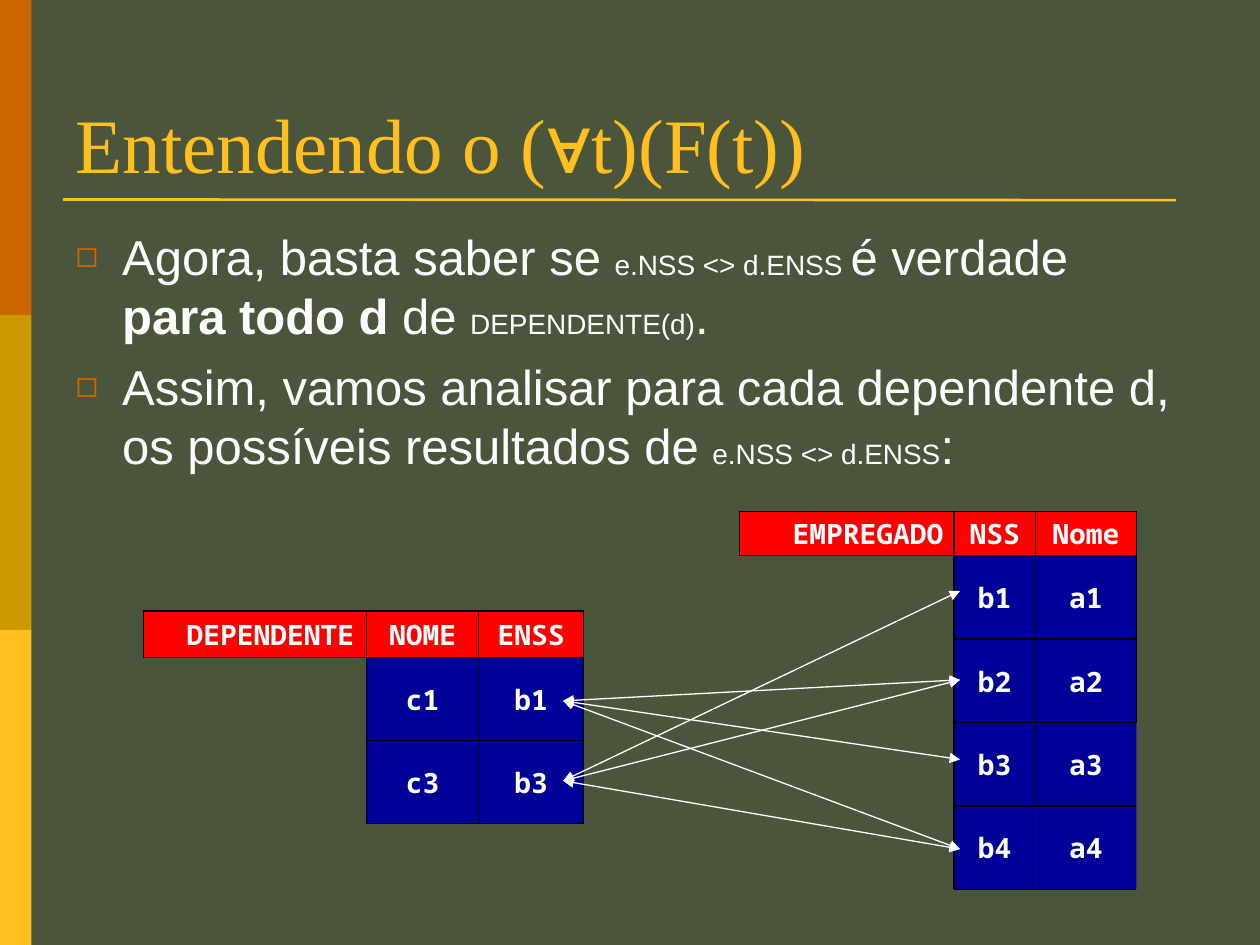
from itertools import accumulate

from lxml import etree
from pptx import Presentation
from pptx import util as u
from pptx.dml.color import RGBColor
from pptx.enum import shapes, text
from pptx.oxml import ns

Pt = u.Pt
OLIVE, WHITE, BLACK = "4A553B", "FFFFFF", "000000"
ORANGE, MUSTARD, YELLOW = "CC6600", "CC9900", "FFBF1F"
RED, NAVY = "FF0000", "000099"


def color(hex_value):
    return RGBColor.from_string(hex_value)


class SlideBuilder:
    title_font, body_font, cell_font = "Times New Roman", "Arial", "Noto Sans Mono"
    title_size, body_size, code_size = 44, 28, 16

    def __init__(self, slide):
        self.slide = slide
        slide.background.fill.solid()
        slide.background.fill.fore_color.rgb = color(OLIVE)

    def style(self, font, name, size, hex_value, bold=False):
        font.name, font.size, font.bold = name, Pt(size), bold
        font.color.rgb = color(hex_value)

    def place(self, shape, left, top, width, height):
        shape.left, shape.top = Pt(left), Pt(top)
        shape.width, shape.height = Pt(width), Pt(height)

    def title(self, wording, *box):
        title = self.slide.shapes.title
        self.place(title, *box)
        frame = title.text_frame
        frame.text = wording
        frame.vertical_anchor = text.MSO_ANCHOR.BOTTOM
        frame.auto_size = text.MSO_AUTO_SIZE.NONE
        line = frame.paragraphs[0]
        line.alignment = text.PP_ALIGN.LEFT
        self.style(line.font, self.title_font, self.title_size, YELLOW)

    def bullet(self, paragraph):
        props = paragraph._p.get_or_add_pPr()
        indent = Pt(26.64)
        props.set("marL", str(indent))
        props.set("indent", str(-indent))
        bullet_color = etree.SubElement(props, ns.qn("a:buClr"))
        etree.SubElement(bullet_color, ns.qn("a:srgbClr"), val=ORANGE)
        etree.SubElement(props, ns.qn("a:buSzPct"), val="75000")
        etree.SubElement(props, ns.qn("a:buChar"), char="◻")

    def bullets(self, items, *box):
        body = self.slide.placeholders[1]
        self.place(body, *box)
        frame = body.text_frame
        frame.auto_size = text.MSO_AUTO_SIZE.NONE
        for index, pieces in enumerate(items):
            paragraph = frame.add_paragraph() if index else frame.paragraphs[0]
            self.bullet(paragraph)
            paragraph.space_before = Pt(7 if index else 0)
            self.style(paragraph.font, self.body_font, self.body_size, WHITE)
            for wording, kind in pieces:
                run = paragraph.add_run()
                run.text = wording
                if kind == "code":
                    run.font.size = Pt(self.code_size)
                elif kind == "bold":
                    run.font.bold = True

    def rect(self, parent, fill, *box):
        shape = parent.add_shape(shapes.MSO_SHAPE.RECTANGLE, *map(Pt, box))
        shape.shadow.inherit = False
        shape.fill.solid()
        shape.fill.fore_color.rgb = color(fill)
        shape.line.fill.background()
        return shape

    def line(self, parent, hex_value, width, start, end, arrows=False):
        line = parent.add_connector(
            shapes.MSO_CONNECTOR.STRAIGHT, *map(Pt, (*start, *end)))
        line.line.color.rgb = color(hex_value)
        line.line.width = Pt(width)
        if arrows:
            outline = line.line._get_or_add_ln()
            for tag in ("a:headEnd", "a:tailEnd"):
                etree.SubElement(outline, ns.qn(tag), type="triangle")
        etree.SubElement(line._element.spPr, ns.qn("a:effectLst"))

    def cell(self, parent, wording, fill, align, inset, *box):
        cell = self.rect(parent, fill, *box)
        frame = cell.text_frame
        frame.word_wrap = True
        frame.vertical_anchor = text.MSO_ANCHOR.MIDDLE
        frame.margin_left = frame.margin_right = Pt(inset)
        frame.margin_top = frame.margin_bottom = Pt(inset / 2)
        frame.text = wording
        paragraph = frame.paragraphs[0]
        paragraph.alignment = align
        self.style(paragraph.font, self.cell_font, self.code_size, WHITE, True)

    def relation(self, name, header, rows, left, top, widths, heights, inset, depths):
        """Draw a relation; depths gives the rows each vertical rule runs down."""
        parent = self.slide.shapes.add_group_shape().shapes
        header_height, row_height = heights
        xs = list(accumulate(widths, initial=left))
        ys = [top] + [top + header_height + row_height * i
                      for i in range(len(rows) + 1)]
        # Cells
        self.cell(parent, name, RED, text.PP_ALIGN.RIGHT, inset,
                  left, top, widths[0], header_height)
        for r, row in enumerate([header, *rows]):
            for c, wording in enumerate(row, 1):
                self.cell(parent, wording, NAVY if r else RED,
                          text.PP_ALIGN.CENTER, inset,
                          xs[c], ys[r], widths[c], ys[r + 1] - ys[r])
        # Rules
        for r, y in enumerate(ys):
            self.line(parent, BLACK, 1, (xs[0 if r < 2 else 1], y), (xs[-1], y))
        for x, depth in zip(xs, depths):
            self.line(parent, BLACK, 1, (x, top), (x, ys[depth + 1]))


def main():
    deck = Presentation()
    deck.slide_width, deck.slide_height = Pt(720), Pt(540)
    page = SlideBuilder(deck.slides.add_slide(deck.slide_layouts[1]))
    canvas = page.slide.shapes

    # Side bands and title rule
    for index, band in enumerate((ORANGE, MUSTARD, YELLOW)):
        page.rect(canvas, band, 0, 180 * index, 18, 180)
    page.line(canvas, YELLOW, 1.5, (36, 114), (672, 114.4))

    # Title and list
    page.title("Entendendo o (∀t)(F(t))", 36, 21.6, 648, 90)
    page.bullets([
        [("Agora, basta saber se ", ""), ("e.NSS <> d.ENSS ", "code"),
         ("é verdade ", ""), ("para todo d", "bold"), (" de ", ""),
         ("DEPENDENTE(d)", "code"), (".", "")],
        [("Assim, vamos analisar para cada dependente d, "
          "os possíveis resultados de ", ""),
         ("e.NSS <> d.ENSS", "code"), (":", "")],
    ], 36, 126, 648, 229.7)

    # Relations
    page.relation("EMPREGADO", ("NSS", "Nome"),
                  [(f"b{i}", f"a{i}") for i in range(1, 5)],
                  422.6, 292.3, (122.4, 46.8, 57.6), (25.2, 47.7), 5.8,
                  (0, 4, 3, 2))
    page.relation("DEPENDENTE", ("NOME", "ENSS"), [("c1", "b1"), ("c3", "b3")],
                  82, 349.2, (127.5, 64, 60), (26.6, 47.4), 7.2,
                  (0, 2, 2, 2))

    # Comparisons of each ENSS with the NSS values that differ
    nss_y = {"b1": 337.7, "b2": 388.5, "b3": 434, "b4": 485.2}
    enss_y = {"b1": 400.5, "b3": 446.2}
    for enss, start_y in enss_y.items():
        for nss, end_y in nss_y.items():
            if nss != enss:
                page.line(canvas, WHITE, 0.75, (321.8, start_y),
                          (548.6, end_y), arrows=True)

    deck.save("out.pptx")


if __name__ == "__main__":
    main()
